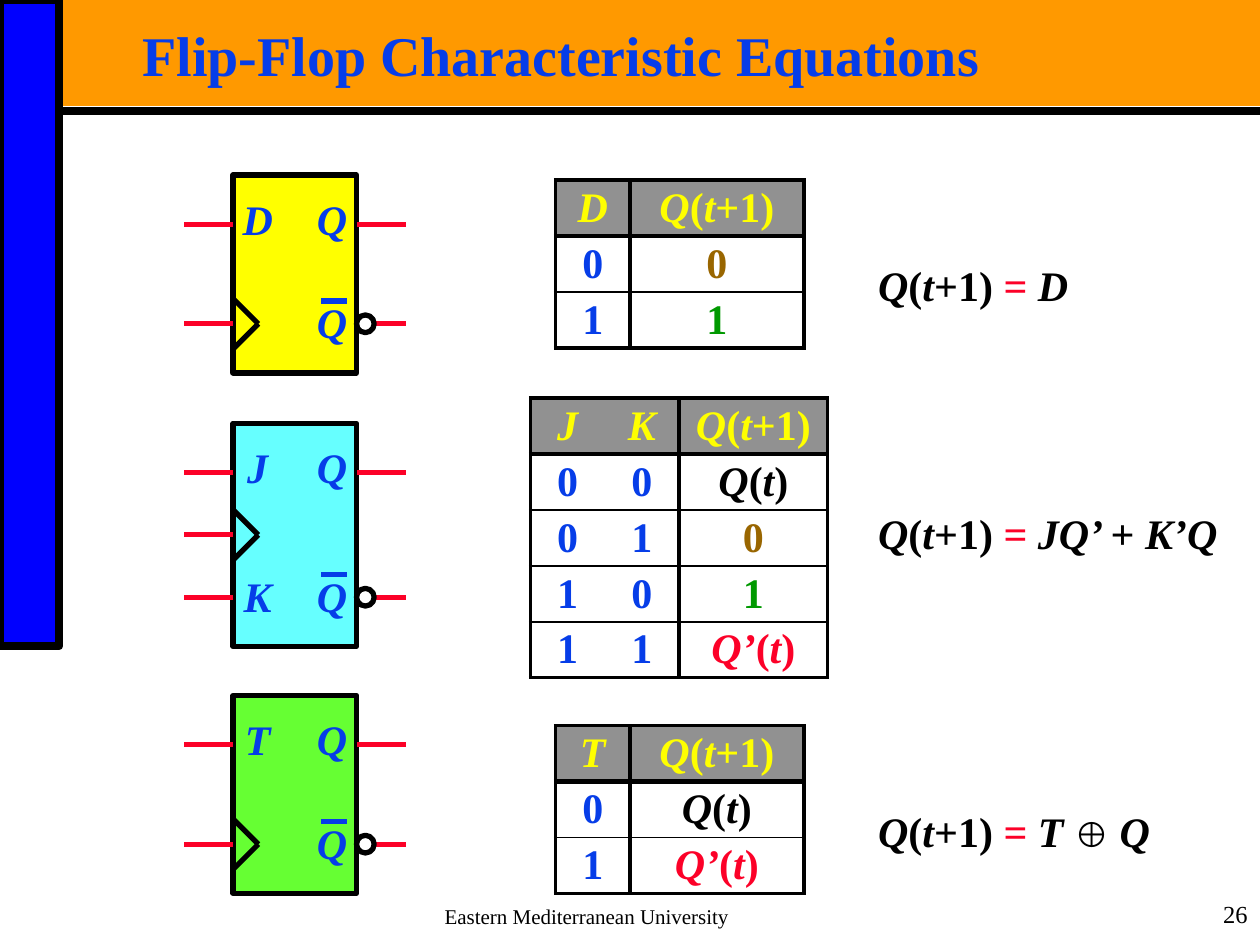
import pptx
import pptx.util
import pptx.dml.color
import pptx.enum.shapes
import pptx.enum.text
import pptx.oxml
import pptx.oxml.ns

Inches, Pt = pptx.util.Inches, pptx.util.Pt
SHAPE = pptx.enum.shapes.MSO_SHAPE
ALIGN = pptx.enum.text.PP_ALIGN
ANCHOR = pptx.enum.text.MSO_ANCHOR

FONT = "Times New Roman"
BLACK, WHITE, BLUE, RED = "000000", "FFFFFF", "063DE8", "FC0128"
YELLOW, BROWN, GREEN, GRAY = "FFFF00", "996600", "009900", "919191"
NEXT = "*Q*(*t*+1)"
HOLD, TOGGLE = ("*Q*(*t*)", BLACK), ("*Q’*(*t*)", RED)
ZERO, ONE = ("0", BROWN), ("1", GREEN)


def rgb(value):
    return pptx.dml.color.RGBColor.from_string(value)


def add_runs(p, markup, color, size=24, bold=True):
    """Add runs to a paragraph; text between asterisks is italic."""
    for i, text in enumerate(markup.split("*")):
        if text:
            r = p.add_run()
            r.text = text
            r.font.name, r.font.size = FONT, Pt(size)
            r.font.bold, r.font.italic = bold, i % 2 == 1
            r.font.color.rgb = rgb(color)


def add_box(shapes, x, y, w, h, align=ALIGN.LEFT, anchor=ANCHOR.TOP, margin=(0, 0)):
    """Add an empty text box and return its first paragraph."""
    tf = shapes.add_textbox(Inches(x), Inches(y), Inches(w), Inches(h)).text_frame
    tf.word_wrap = True
    tf.vertical_anchor = anchor
    tf.margin_left = tf.margin_right = Inches(margin[0])
    tf.margin_top = tf.margin_bottom = Inches(margin[1])
    p = tf.paragraphs[0]
    p.alignment = align
    return p


def add_shape(shapes, kind, x, y, w, h, fill, line=None):
    sp = shapes.add_shape(kind, Inches(x), Inches(y), Inches(w), Inches(h))
    sp.shadow.inherit = False
    sp.fill.solid()
    sp.fill.fore_color.rgb = rgb(fill)
    if line:
        sp.line.color.rgb, sp.line.width = rgb(BLACK), Pt(line)
    else:
        sp.line.fill.background()
    return sp


def add_line(shapes, x1, y1, x2, y2, color, width=3):
    line = shapes.add_connector(pptx.enum.shapes.MSO_CONNECTOR.STRAIGHT,
                                Inches(x1), Inches(y1), Inches(x2), Inches(y2))
    line.line.color.rgb, line.line.width = rgb(color), Pt(width)
    line.element.spPr.append(pptx.oxml.parse_xml(
        f"<a:effectLst {pptx.oxml.ns.nsdecls('a')}/>"))
    return line


def add_frame(s, title, footer, number):
    # Header band, side bar and rule
    add_shape(s.shapes, SHAPE.RECTANGLE, 0.47, 0, 9.53, 0.84, "FF9900")
    add_shape(s.shapes, SHAPE.RECTANGLE, 0, 0, 0.47, 5.13, "0000FF", 4.5)
    add_line(s.shapes, 0.47, 0.88, 10, 0.88, BLACK, 4.5)

    # Footer and slide number
    for text, size, x, w, align in ((footer, 12, 3.43, 3.62, ALIGN.LEFT),
                                    (number, 14, 8.69, 1.31, ALIGN.RIGHT)):
        p = add_box(s.shapes, x, 7.1, w, 0.32, align, ANCHOR.BOTTOM, (0.1, 0.05))
        add_runs(p, text, BLACK, size, bold=False)

    # Title, raised above the header band
    sp = s.shapes.title
    sp.left, sp.top, sp.width, sp.height = map(Inches, (1.06, 0.21, 8.66, 0.52))
    tf = sp.text_frame
    tf.auto_size = pptx.enum.text.MSO_AUTO_SIZE.NONE
    tf.vertical_anchor = ANCHOR.TOP
    tf.margin_left = tf.margin_right = Inches(0.07)
    tf.margin_top = tf.margin_bottom = Inches(0.03)
    p = tf.paragraphs[0]
    p.alignment, p.line_spacing = ALIGN.LEFT, 0.87
    add_runs(p, title, BLUE, 32)
    s.shapes.element.append(sp.element)


def add_flip_flop(s, x, y, w, h, fill, inputs):
    """Draw a flip-flop symbol; two inputs put the clock between them."""
    shapes = s.shapes.add_group_shape().shapes
    wire, label = 0.39, 0.39
    right, high, low = x + w, y + wire, y + h - wire
    centred = len(inputs) == 2
    clock = y + h / 2 if centred else low

    def add_label(text, left, middle):
        p = add_box(shapes, left, middle, label, 0.36, ALIGN.CENTER)
        p.line_spacing = 0.9
        add_runs(p, f"*{text}*", BLUE)

    # Body, clock notch and wires
    body = add_shape(shapes, SHAPE.RECTANGLE, x, y, w, h, fill, 3)
    for side in (-0.2, 0.2):
        add_line(shapes, x, clock + side, x + 0.2, clock, BLACK)
    for level in (high, low):
        add_line(shapes, x, level, x - wire, level, RED)
        add_line(shapes, right + wire, level, right, level, RED)
    if centred:
        add_line(shapes, x, clock, x - wire, clock, RED).begin_connect(body, 1)

    # Inverted output: bubble and overbar
    add_shape(shapes, SHAPE.OVAL, right, low - 0.07, 0.14, 0.14, WHITE, 3)
    add_line(shapes, right - 0.08, low - 0.18, right - 0.28, low - 0.18, BLUE)

    # Pin labels
    for text, level in zip(inputs, (high - 0.2, low - 0.17)):
        add_label(text, x, level)
    for level in (high - 0.2, low - 0.17):
        add_label("Q", right - label, level)


def set_borders(cell, widths):
    """Set the left, right, top and bottom borders; 0 means none."""
    tc_pr = cell._tc.get_or_add_tcPr()
    for side, width in zip("LRTB", widths):
        fill = (f'<a:solidFill><a:srgbClr val="{BLACK}"/></a:solidFill>'
                if width else "<a:noFill/>")
        tc_pr.append(pptx.oxml.parse_xml(
            f"<a:ln{side} {pptx.oxml.ns.nsdecls('a')} w=\"{int(Pt(width))}\">"
            f"{fill}</a:ln{side}>"))


def add_truth_table(s, x, y, widths, inputs, rows):
    """Each row is a string of input bits and the (markup, colour) of the result."""
    grid = [[(f"*{name}*", YELLOW) for name in inputs] + [(NEXT, YELLOW)]]
    grid += [[(bit, BLUE) for bit in bits] + [result] for bits, result in rows]
    n_rows, n_cols, row_h = len(grid), len(widths), 0.444
    table = s.shapes.add_table(n_rows, n_cols, Inches(x), Inches(y),
                               Inches(sum(widths)), Inches(row_h * n_rows)).table
    table.first_row = table.horz_banding = False
    for column, width in zip(table.columns, widths):
        column.width = Inches(width)

    # Heavy frame, header rule and result divider; thin row rules
    row_lines = [2.25, 3] + [1] * (n_rows - 2) + [2.25]
    col_lines = [2.25] + [0] * (n_cols - 2) + [3, 2.25]
    for i, row in enumerate(grid):
        table.rows[i].height = Inches(row_h)
        for j, (markup, color) in enumerate(row):
            cell = table.cell(i, j)
            set_borders(cell, col_lines[j:j + 2] + row_lines[i:i + 2])
            if i == 0:
                cell.fill.solid()
                cell.fill.fore_color.rgb = rgb(GRAY)
            else:
                cell.fill.background()
            cell.vertical_anchor = ANCHOR.MIDDLE
            cell.margin_left = cell.margin_right = 0
            cell.margin_top = cell.margin_bottom = 0
            p = cell.text_frame.paragraphs[0]
            p.alignment = ALIGN.CENTER
            add_runs(p, markup, color)


def add_equation(s, x, y, w, parts):
    p = add_box(s.shapes, x, y, w, 0.48)
    p.line_spacing = 1.2
    add_runs(p, NEXT + " ", BLACK)
    add_runs(p, "= ", RED)
    for markup, size in parts:
        add_runs(p, markup, BLACK, size)


def main():
    prs = pptx.Presentation()
    prs.slide_width, prs.slide_height = Inches(10), Inches(7.5)
    s = prs.slides.add_slide(prs.slide_layouts[5])
    add_frame(s, "Flip-Flop Characteristic Equations",
              "Eastern Mediterranean University", "26")

    # D flip-flop
    add_flip_flop(s, 1.85, 1.39, 0.98, 1.57, "FFFF00", "D")
    add_truth_table(s, 4.41, 1.43, (0.59, 1.38), "D", [("0", ZERO), ("1", ONE)])
    add_equation(s, 6.97, 1.98, 1.77, [("*D*", 24)])

    # JK flip-flop
    add_flip_flop(s, 1.85, 3.36, 0.98, 1.77, "66FFFF", "JK")
    add_truth_table(s, 4.21, 3.16, (0.59, 0.59, 1.18), "JK",
                    [("00", HOLD), ("01", ZERO), ("10", ONE), ("11", TOGGLE)])
    add_equation(s, 6.97, 3.95, 2.76, [("*JQ’ *+* K’Q*", 24)])

    # T flip-flop
    add_flip_flop(s, 1.85, 5.52, 0.98, 1.57, "66FF33", "T")
    add_truth_table(s, 4.41, 5.76, (0.59, 1.38), "T", [("0", HOLD), ("1", TOGGLE)])
    add_equation(s, 6.97, 6.31, 2.56, [("*T *", 24), ("⊕", 20), (" *Q*", 24)])

    prs.save("out.pptx")


if __name__ == "__main__":
    main()
